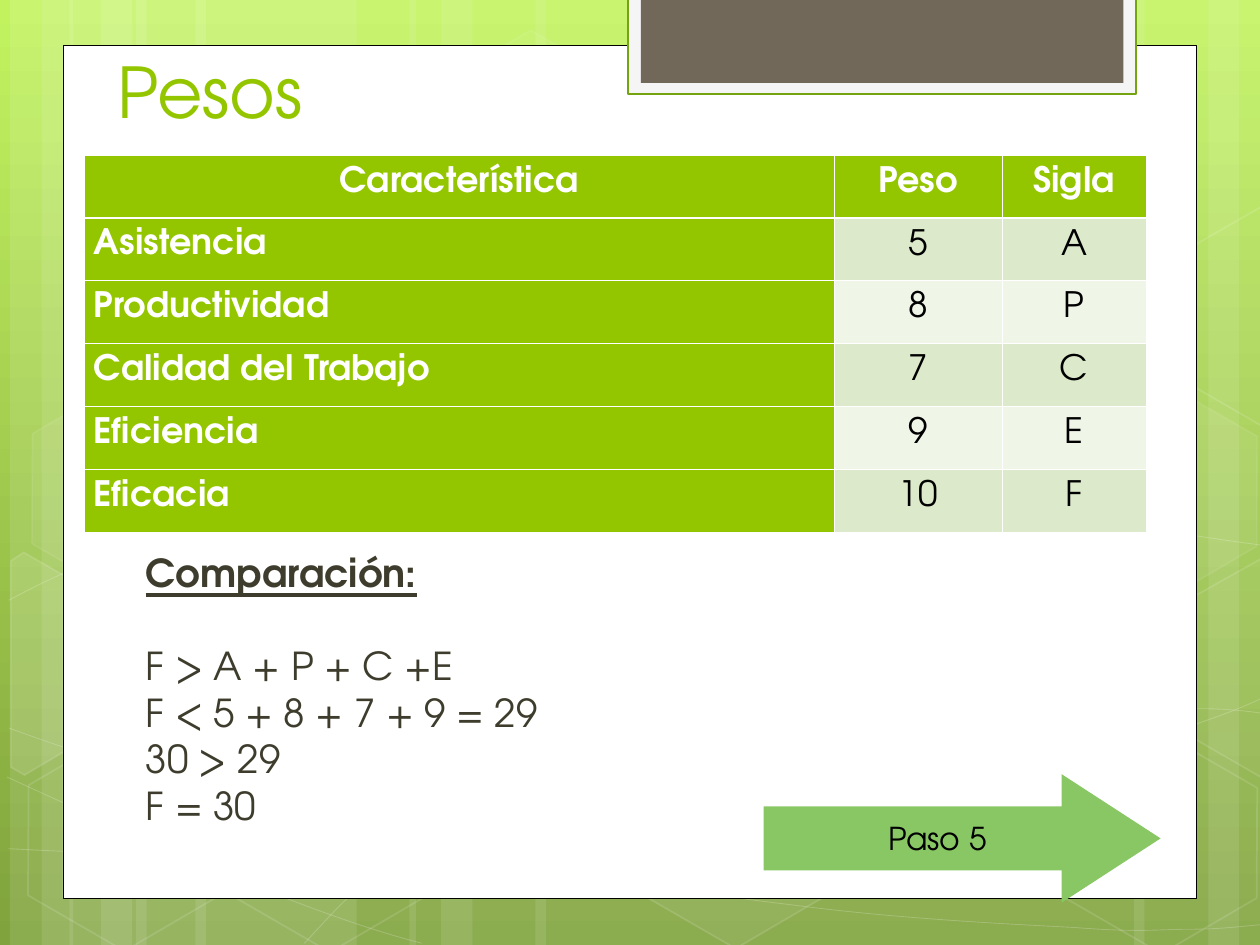
import lxml.etree
import pptx
import pptx.dml.color
import pptx.enum.shapes
import pptx.enum.text
import pptx.oxml.ns
import pptx.util

Pt = pptx.util.Pt
RGBColor = pptx.dml.color.RGBColor
qn = pptx.oxml.ns.qn
SHAPE = pptx.enum.shapes.MSO_SHAPE
ANCHOR = pptx.enum.text.MSO_ANCHOR
ALIGN = pptx.enum.text.PP_ALIGN

FONT = "TeX Gyre Adventor"
WHITE = RGBColor(0xFF, 0xFF, 0xFF)
BLACK = RGBColor(0, 0, 0)
SKY_GREEN = RGBColor(0xC2, 0xF3, 0x5F)
GROUND_GREEN = RGBColor(0x80, 0xA3, 0x3D)
LIME = RGBColor(0x94, 0xC6, 0x00)
TAB_EDGE = RGBColor(0x74, 0xA5, 0x10)
TAB_PALE = RGBColor(0xF5, 0xF5, 0xF5)
TAB_BROWN = RGBColor(0x71, 0x68, 0x5A)
BAND_DARK = RGBColor(0xDC, 0xEA, 0xCB)
BAND_LIGHT = RGBColor(0xEF, 0xF5, 0xE7)
BODY_INK = RGBColor(0x3E, 0x3D, 0x2D)
ARROW_GREEN = RGBColor(0x89, 0xC7, 0x65)

BANDS = [(77.8, 126), (5.8, 36), (23.8, 60), (111.6, 126), (39.6, 36), (57.6, 60),
         (528, 126), (690.5, 36), (648, 60), (306, 222), (234, 36), (252, 60)]
CURVES = [
    [(5, 484.6), (43.9, 486.7), (82.8, 488.9), (136.8, 488.2), (190.8, 487.4), (257.8, 486),
     (329.8, 478.8), (401.8, 471.6), (504, 457.9), (570.2, 444.2), (635.8, 430.6),
     (703.4, 409), (725, 396.7)],
    [(5, 343.4), (25.9, 331.9), (46.8, 321.1), (87.1, 310.3), (128.2, 299.5), (186.5, 283.7),
     (249.8, 278.6), (313.9, 273.6), (391.7, 272.9), (470.9, 278.6), (550.1, 284.4),
     (681.8, 306.7), (725, 312.5)],
    [(4.3, 444.2), (91.4, 483.8), (177.8, 523.4), (241.2, 539.3)],
    [(5, 416.2), (27.4, 424.1), (50.4, 432), (92.2, 443.5), (133.9, 454.3), (196.6, 472.3),
     (257, 484.6), (316.8, 496.8), (392.4, 509.8), (452.2, 517), (511.9, 524.9),
     (576, 527.8), (614.2, 529.9), (652.3, 532.8), (661.7, 531.4), (680.4, 531.4),
     (699.1, 530.6), (712.1, 529.2), (725, 528.5)],
    [(174.2, 539.3), (187.2, 524.9), (200.2, 510.5), (217.4, 497.5), (234.7, 483.8),
     (259.2, 470.2), (279.4, 460.1), (299.5, 450), (311.8, 445.7), (337.7, 438.5),
     (364.3, 431.3), (412.6, 421.2), (437.8, 416.2), (463.7, 411.1), (467.3, 411.1),
     (489.6, 409.7), (511.9, 407.5), (547.2, 405.4), (571.7, 404.6), (596.9, 403.9),
     (637.9, 404.6), (637.9, 404.6), (654, 404.6), (670, 404.6), (686.2, 404.6),
     (699.1, 405.4), (711.4, 406.1), (724.3, 407.5)],
]
HEXAGONS = [(240.5, 25.9, 4, 8), (357.1, 424.1, 6, 12), (7.9, 425.5, 0, 12),
            (10.1, 224.6, 7, 8), (125.3, 426.2, 0, 12), (542.2, 326.2, 10, 12),
            (600.5, 427, 0, 12), (600.5, 226.1, 7, 8)]
LEFT_CUT = [(0, 8.1), (3.8, 0), (68, 0), (99, 54.7), (68, 109.4), (58.6, 109.4)]
RIGHT_CUT = [(0, 54.7), (31.5, 0), (37.7, 0), (97.9, 104.4), (94.9, 109.4), (31.5, 109.4)]
CUT_HEXAGONS = [(LEFT_CUT, -23.8, 331.2, 10), (RIGHT_CUT, 660.2, 319.7, 4),
                (RIGHT_CUT, 660.2, 118.8, 0)]
WEIGHTS = [("Característica", "Peso", "Sigla"), ("Asistencia", "5", "A"),
           ("Productividad", "8", "P"), ("Calidad del Trabajo", "7", "C"),
           ("Eficiencia", "9", "E"), ("Eficacia", "10", "F")]
COMPARISON = ["Comparación:", "F > A + P + C +E", "F < 5 + 8 + 7 + 9 = 29", "30 > 29", "F = 30"]


def set_opacity(owner, percent):
    """Make the solid fill directly under an element partly transparent."""
    color = owner.find(qn("a:solidFill")).find(qn("a:srgbClr"))
    lxml.etree.SubElement(color, qn("a:alpha"), val=str(percent * 1000))


def paint(shape, fill=None, line=None, width=0, fill_opacity=100, line_opacity=100):
    """Give a shape its fill and outline, and no shadow."""
    shape.shadow.inherit = False
    properties = shape._element.spPr
    if fill is None or fill_opacity == 0:
        shape.fill.background()
    else:
        shape.fill.solid()
        shape.fill.fore_color.rgb = fill
        if fill_opacity < 100:
            set_opacity(properties, fill_opacity)
    if line is None:
        shape.line.fill.background()
    else:
        shape.line.color.rgb = line
        shape.line.width = Pt(width)
        if line_opacity < 100:
            set_opacity(properties.find(qn("a:ln")), line_opacity)


def add_preset(slide, kind, box):
    """Add a preset shape in a box of points."""
    return slide.shapes.add_shape(kind, *map(Pt, box))


def add_outline(slide, points, left, top, close):
    """Add a freeform through points measured from an origin."""
    placed = [(left + x, top + y) for x, y in points]
    builder = slide.shapes.build_freeform(*placed[0], scale=Pt(1))
    builder.add_line_segments(placed[1:], close=close)
    return builder.convert_to_shape()


def add_curve(slide, controls, left, top):
    """Add an open chain of cubic curves, three control points to each."""
    shape = add_outline(slide, controls, left, top, False)
    lines = list(shape._element.iter(qn("a:lnTo")))
    for index in range(0, len(lines), 3):
        cubic = lxml.etree.Element(qn("a:cubicBezTo"))
        lines[index].addprevious(cubic)
        for line in lines[index:index + 3]:
            cubic.append(line[0])
            line.getparent().remove(line)
    return shape


def style(paragraph, size, color, bold=False):
    """Set the font of a whole paragraph."""
    paragraph.font.name = FONT
    paragraph.font.size = Pt(size)
    paragraph.font.color.rgb = color
    paragraph.font.bold = bold


def draw_backdrop(slide, box):
    """Draw the gradient, light bands, curves and hexagons."""
    left, top, _, height = box
    fill = slide.background.fill
    fill.gradient()
    fill.gradient_angle = 270
    for stop, color in zip(fill.gradient_stops, (SKY_GREEN, GROUND_GREEN)):
        stop.color.rgb = color
    for x, band_width in BANDS:
        band = add_preset(slide, SHAPE.RECTANGLE, (left + x, top, band_width, height))
        paint(band, WHITE, fill_opacity=10)
    for controls in CURVES:
        paint(add_curve(slide, controls, left, top), None, WHITE, 0.5, line_opacity=20)
    for x, y, fill_opacity, line_opacity in HEXAGONS:
        hexagon = add_preset(slide, SHAPE.HEXAGON, (left + x, top + y, 126, 109.4))
        hexagon.adjustments[0] = 0.285
        hexagon.rotation = 30
        paint(hexagon, WHITE, WHITE, 1, fill_opacity, line_opacity)
    for points, x, y, fill_opacity in CUT_HEXAGONS:
        hexagon = add_outline(slide, points, left + x, top + y, True)
        hexagon.rotation = 30
        paint(hexagon, WHITE, WHITE, 1, fill_opacity, 12)


def draw_card(slide, box):
    """Draw the white card and the tab hanging over its top edge."""
    left, top, _, _ = box
    paint(add_preset(slide, SHAPE.RECTANGLE, box), WHITE, BLACK, 0.5)
    frame = add_preset(slide, SHAPE.RECTANGLE, (left + 323, top - 27.3, 290, 55.1))
    paint(frame, TAB_PALE, TAB_EDGE, 1.25)
    panel = add_preset(slide, SHAPE.RECTANGLE, (left + 330.2, top - 27.3, 275.8, 48.8))
    paint(panel, TAB_BROWN)


def add_title(slide, box):
    """Write the title at the foot of its box."""
    frame = slide.shapes.add_textbox(*map(Pt, box)).text_frame
    frame.word_wrap = True
    frame.vertical_anchor = ANCHOR.BOTTOM
    frame.text = "Pesos"
    style(frame.paragraphs[0], 40, LIME)


def set_borders(cell, top, bottom):
    """Draw white borders round a cell."""
    properties = cell._tc.get_or_add_tcPr()
    for side, width in (("L", 0.45), ("R", 0.45), ("T", top), ("B", bottom)):
        border = lxml.etree.SubElement(properties, qn("a:ln" + side), w=str(int(Pt(width))))
        fill = lxml.etree.SubElement(border, qn("a:solidFill"))
        lxml.etree.SubElement(fill, qn("a:srgbClr"), val=str(WHITE))


def add_weights(slide, box):
    """Add the table of characteristics, weights and initials."""
    table = slide.shapes.add_table(len(WEIGHTS), 3, *map(Pt, box)).table
    table.horz_banding = False
    for column, width in zip(table.columns, (428.5, 95.9, 82.4)):
        column.width = Pt(width)
    for row, texts in enumerate(WEIGHTS):
        table.rows[row].height = Pt(box[3] / len(WEIGHTS))
        for column, text in enumerate(texts):
            cell = table.cell(row, column)
            heading = row == 0 or column == 0
            set_borders(cell, 1.47 if row == 1 else 0.45, 1.47 if row == 0 else 0.45)
            cell.fill.solid()
            cell.fill.fore_color.rgb = LIME if heading else BAND_DARK if row % 2 else BAND_LIGHT
            cell.margin_left = cell.margin_right = Pt(5.4)
            cell.text = text
            paragraph = cell.text_frame.paragraphs[0]
            paragraph.line_spacing = 1.15
            paragraph.alignment = ALIGN.LEFT if row and column == 0 else ALIGN.CENTER
            style(paragraph, 20, WHITE if heading else BLACK, heading)


def add_comparison(slide, box):
    """Write the underlined heading and the lines of the comparison."""
    frame = slide.shapes.add_textbox(*map(Pt, box)).text_frame
    frame.word_wrap = True
    frame.text = "\n".join(COMPARISON)
    for index, paragraph in enumerate(frame.paragraphs):
        paragraph._p.get_or_add_pPr().set("marL", str(int(Pt(5.4))))
        paragraph.line_spacing = 0.8
        paragraph.space_before = Pt((0, 32)[index] if index < 2 else 5.5)
        style(paragraph, 22, BODY_INK, index == 0)
        paragraph.font.underline = index == 0


def add_step_arrow(slide, box):
    """Add the arrow that leads to the next step."""
    arrow = add_preset(slide, SHAPE.RIGHT_ARROW, box)
    arrow.adjustments[0], arrow.adjustments[1] = 0.5, 0.77
    paint(arrow, ARROW_GREEN)
    frame = arrow.text_frame
    frame.word_wrap = False
    frame.vertical_anchor = ANCHOR.MIDDLE
    frame.text = "Paso 5"
    frame.paragraphs[0].alignment = ALIGN.CENTER
    style(frame.paragraphs[0], 18, BLACK)


def main():
    """Build the slide and save it."""
    presentation = pptx.Presentation()
    presentation.slide_width, presentation.slide_height = Pt(720), Pt(540)
    slide = presentation.slides.add_slide(presentation.slide_layouts[6])
    draw_backdrop(slide, (0, 0, 720, 540))
    draw_card(slide, (36, 25.9, 648, 487.4))
    add_title(slide, (59.8, 20.2, 553, 59))
    add_weights(slide, (48.2, 88.7, 606.8, 215.4))
    add_comparison(slide, (70.8, 315.4, 533.5, 175.7))
    add_step_arrow(slide, (436.4, 442.4, 226.8, 73.4))
    presentation.save("out.pptx")


if __name__ == "__main__":
    main()
